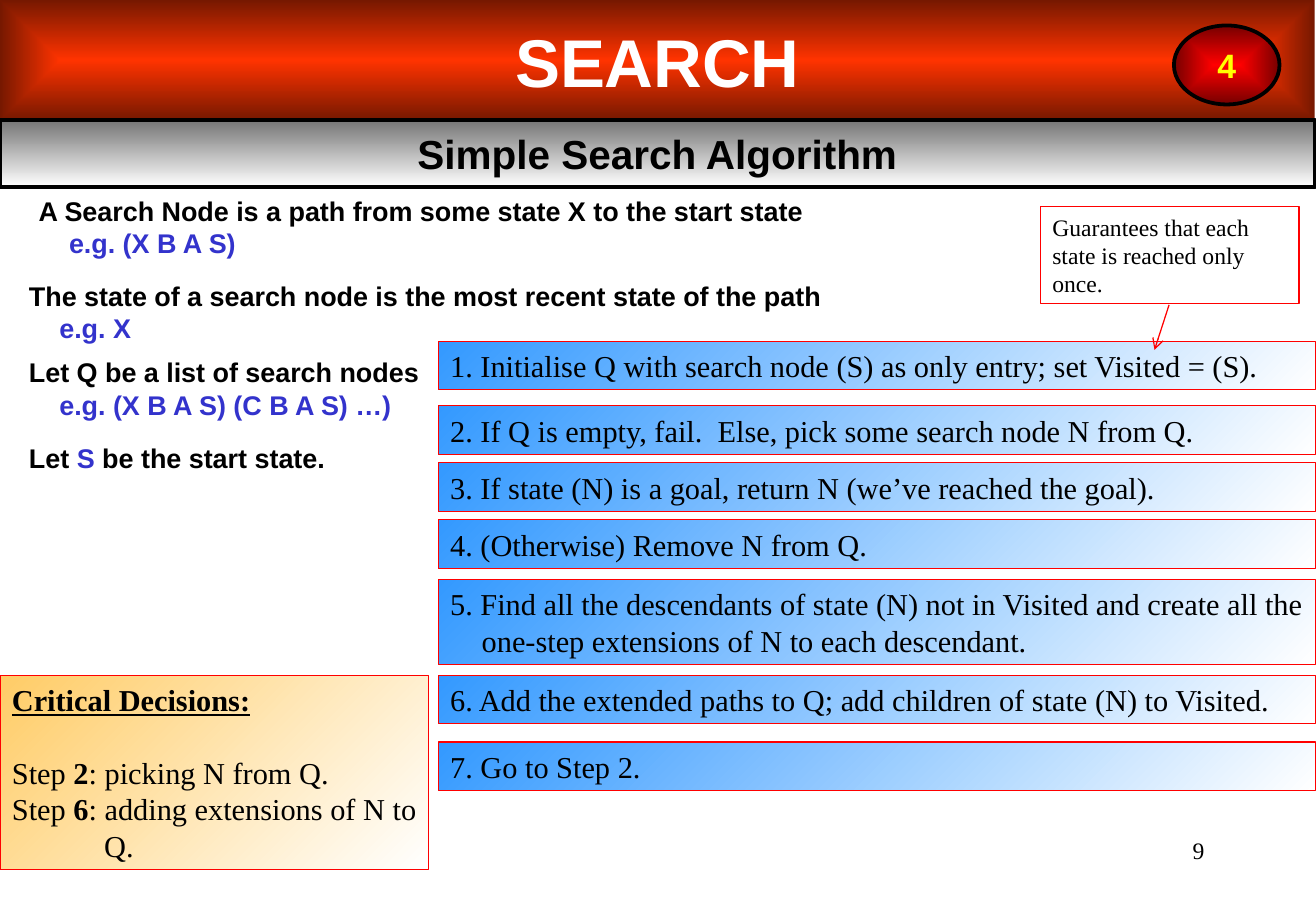
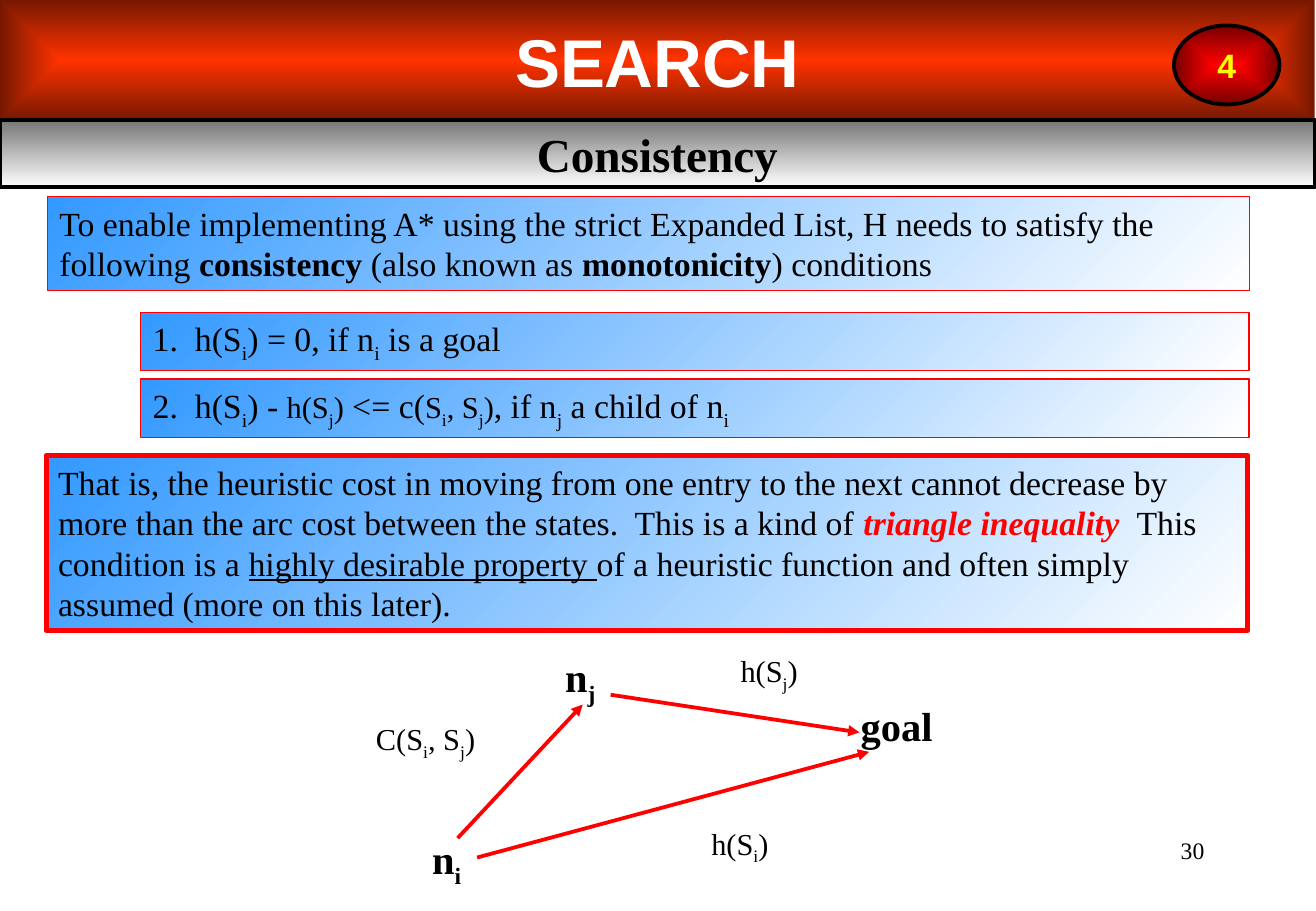
from dataclasses import dataclass
from typing import Any, NamedTuple, Optional

import lxml.etree
import pptx
import pptx.dml.color
import pptx.enum.shapes
import pptx.enum.text
import pptx.oxml.ns
import pptx.util

Inches = pptx.util.Inches
Pt = pptx.util.Pt
ALIGN = pptx.enum.text.PP_ALIGN
ANCHOR = pptx.enum.text.MSO_ANCHOR
AUTO_SIZE = pptx.enum.text.MSO_AUTO_SIZE
SHAPE = pptx.enum.shapes.MSO_SHAPE

SANS, SERIF = "Arial", "Times New Roman"
BLACK, WHITE, RED, YELLOW, BLUE = "000000", "FFFFFF", "FF0000", "FFFF00", "3333CC"


@dataclass(frozen=True)
class Run:
    text: str
    color: Optional[str] = None
    size: Optional[float] = None
    bold: Optional[bool] = None
    italic: Optional[bool] = None
    underline: Optional[bool] = None
    sub: bool = False


@dataclass(frozen=True)
class Para:
    runs: list[Run]
    size: float = 18
    font: str = SERIF
    color: str = BLACK
    bold: bool = False
    align: Any = ALIGN.LEFT
    left: float = 0
    hanging: float = 0
    before: float = 0


class Box(NamedTuple):
    left: float
    top: float
    width: float
    height: float


class Gradient(NamedTuple):
    start: str
    end: str
    angle: Optional[float] = None


class Line(NamedTuple):
    color: str
    width: float


class Arrow(NamedTuple):
    start: tuple[float, float]
    end: tuple[float, float]
    line: Line
    head: str


class Step(NamedTuple):
    top: float
    text: str
    height: float = 0.4


class Label(NamedTuple):
    text: str
    box: Box
    size: float = 18
    bold: bool = False


THIN, FRAME, THICK = Line(RED, 0.75), Line(BLACK, 2.25), Line(RED, 3)
SKY = Gradient("3399FF", WHITE, 45)
SAND = Gradient("FFCC66", WHITE, 45)
SILVER = Gradient("767676", WHITE, 90)
FLAME = Gradient("FF3300", "761800")
RUBY = Gradient(RED, "760000")


def rgb(color: str) -> pptx.dml.color.RGBColor:
    return pptx.dml.color.RGBColor.from_string(color)


def add_element(parent: Any, tag: str, **attributes: str) -> Any:
    return lxml.etree.SubElement(parent, pptx.oxml.ns.qn(tag), attributes)


def plain(text: str, **style: Any) -> list[Para]:
    return [Para([Run(text)], **style)]


def indexed(text: str, size: Optional[float] = None) -> list[Run]:
    first, *rest = text.split("_")
    runs = [Run(first, size=size)]
    for piece in rest:
        runs.append(Run(piece[0], size=size, sub=True))
        if piece[1:]:
            runs.append(Run(piece[1:], size=size))
    return runs


def write(sp: Any, paras: list[Para], anchor: Any = ANCHOR.TOP, wrap: bool = True, fit: bool = True) -> None:
    tf = sp.text_frame
    tf.word_wrap = wrap
    tf.vertical_anchor = anchor
    tf.auto_size = AUTO_SIZE.SHAPE_TO_FIT_TEXT if fit else AUTO_SIZE.NONE
    for index, para in enumerate(paras):
        p = tf.add_paragraph() if index else tf.paragraphs[0]
        p.alignment = para.align
        if para.left:
            pPr = p._p.get_or_add_pPr()
            pPr.set("marL", str(Inches(para.left)))
            pPr.set("indent", str(-Inches(para.hanging)))
        if para.before:
            p.space_before = Pt(para.before)
        p.font.name = para.font
        p.font.size = Pt(para.size)
        p.font.bold = para.bold
        p.font.color.rgb = rgb(para.color)
        for run in para.runs:
            r = p.add_run()
            r.text = run.text
            if run.color:
                r.font.color.rgb = rgb(run.color)
            if run.size:
                r.font.size = Pt(run.size)
            r.font.bold = run.bold
            r.font.italic = run.italic
            r.font.underline = run.underline
            if run.sub:
                r._r.get_or_add_rPr().set("baseline", "-25000")


def add_text(s: Any, box: Box, paras: list[Para], wrap: bool = True, fit: bool = True) -> None:
    write(s.shapes.add_textbox(*map(Inches, box)), paras, wrap=wrap, fit=fit)


def fill_gradient(sp: Any, gradient: Gradient) -> None:
    sp.fill.gradient()
    stops = sp.fill.gradient_stops
    for stop, color, position in zip(stops, (gradient.start, gradient.end), (0, 1)):
        stop.color.rgb = rgb(color)
        stop.position = position
    if gradient.angle is not None:
        sp.fill.gradient_angle = 360 - gradient.angle
        return
    grad = sp._element.spPr.find(pptx.oxml.ns.qn("a:gradFill"))
    grad.remove(grad.find(pptx.oxml.ns.qn("a:lin")))
    center = add_element(grad, "a:path", path="rect")
    add_element(center, "a:fillToRect", l="50000", t="50000", r="50000", b="50000")


def add_panel(
    s: Any,
    box: Box,
    paras: list[Para],
    gradient: Optional[Gradient] = SKY,
    line: Optional[Line] = THIN,
    kind: Any = SHAPE.RECTANGLE,
    anchor: Any = ANCHOR.TOP,
    wrap: bool = True,
) -> None:
    sp = s.shapes.add_shape(kind, *map(Inches, box))
    sp.shadow.inherit = False
    if gradient:
        fill_gradient(sp, gradient)
    else:
        sp.fill.background()
    if line:
        sp.line.color.rgb = rgb(line.color)
        sp.line.width = Pt(line.width)
    else:
        sp.line.fill.background()
    write(sp, paras, anchor, wrap, fit=anchor == ANCHOR.TOP)


def add_arrow(s: Any, arrow: Arrow) -> None:
    ends = map(Inches, (*arrow.start, *arrow.end))
    c = s.shapes.add_connector(pptx.enum.shapes.MSO_CONNECTOR.STRAIGHT, *ends)
    c.line.color.rgb = rgb(arrow.line.color)
    c.line.width = Pt(arrow.line.width)
    add_element(c.line._get_or_add_ln(), "a:tailEnd", type=arrow.head)
    add_element(c._element.spPr, "a:effectLst")


def add_slide(prs: Any, subtitle: str, number: str, font: str, size: float) -> Any:
    s = prs.slides.add_slide(prs.slide_layouts[6])
    add_text(s, Box(7.76, 6.83, 2.26, 0.5), plain(number, size=14, align=ALIGN.RIGHT), fit=False)
    heading = {"bold": True, "align": ALIGN.CENTER}
    add_panel(s, Box(0, 0, 10.83, 0.99), plain("SEARCH", size=40, font=SANS, color=WHITE, **heading),
              FLAME, None, anchor=ANCHOR.MIDDLE)
    add_panel(s, Box(0, 0.99, 10.83, 0.55), plain(subtitle, size=size, font=font, **heading),
              SILVER, FRAME, anchor=ANCHOR.MIDDLE)
    add_panel(s, Box(9.67, 0.21, 0.87, 0.65), plain("4", size=20, font=SANS, color=YELLOW, **heading),
              RUBY, FRAME, SHAPE.OVAL, ANCHOR.MIDDLE, wrap=False)
    return s


def build_algorithm(prs: Any) -> None:
    s = add_slide(prs, "Simple Search Algorithm", "9", SANS, 24)
    definition = {"size": 16, "font": SANS, "bold": True}
    for left, top, text, example in (
        (0.22, 1.55, "A Search Node is a path from some state X to the start state", "e.g. (X B A S)"),
        (0.14, 2.25, "The state of a search node is the most recent state of the path", "e.g. X"),
        (0.14, 2.88, "Let Q be a list of search nodes", "e.g. (X B A S) (C B A S) …)"),
    ):
        paras = plain(text, **definition) + plain(example, left=0.25, **{**definition, "color": BLUE})
        add_text(s, Box(left, top, 10.32, 0.64), paras)
    start = [Run("Let "), Run("S", BLUE), Run(" be the start state.")]
    add_text(s, Box(0.14, 3.59, 10.32, 0.37), [Para(start, **definition)])

    for step in (
        Step(2.81, "1. Initialise Q with search node (S) as only entry; set Visited = (S)."),
        Step(3.34, "2. If Q is empty, fail.  Else, pick some search node N from Q."),
        Step(3.81, "3. If state (N) is a goal, return N (we’ve reached the goal)."),
        Step(4.28, "4. (Otherwise) Remove N from Q."),
        Step(4.77, "5. Find all the descendants of state (N) not in Visited and create all the "
                   "one-step extensions of N to each descendant.", 0.7),
        Step(5.56, "6. Add the extended paths to Q; add children of state (N) to Visited."),
        Step(6.11, "7. Go to Step 2."),
    ):
        add_panel(s, Box(3.61, step.top, 7.23, step.height), plain(step.text, left=0.26, hanging=0.26))

    hang = {"left": 0.76, "hanging": 0.76}
    add_panel(s, Box(0, 5.56, 3.53, 1.6), [
        Para([Run("Critical Decisions:", underline=True)], bold=True, **hang),
        Para([Run("Step "), Run("2", bold=True), Run(": picking N from Q.")], before=21.5, **hang),
        Para([Run("Step "), Run("6", bold=True), Run(": adding extensions of N to Q.")], **hang),
    ], SAND)
    add_panel(s, Box(8.57, 1.7, 2.13, 0.8),
              plain("Guarantees that each state is reached only once.", size=14), None)
    add_arrow(s, Arrow((9.63, 2.51), (9.51, 2.88), THIN, "arrow"))


def build_consistency(prs: Any) -> None:
    s = add_slide(prs, "Consistency", "30", SERIF, 28)
    add_panel(s, Box(0.39, 1.62, 9.9, 0.77), [Para([
        Run("To enable implementing A* using the strict Expanded List, H needs to satisfy the following "),
        Run("consistency", bold=True),
        Run(" (also known as "),
        Run("monotonicity", bold=True),
        Run(") conditions"),
    ], size=20)])
    goal_rule = indexed("1.  h(S_i) = 0, if n_i is a goal")
    child_rule = (indexed("2.  h(S_i) - ") + indexed("h(S_j)", 18) + indexed(" <= c(")
                  + indexed("S_i, S_j)", 18) + indexed(", if n_j a child of n_i"))
    for top, rule in ((2.57, goal_rule), (3.12, child_rule)):
        add_panel(s, Box(1.16, top, 9.13, 0.48), [Para(rule, size=20)])
    add_panel(s, Box(0.38, 3.75, 9.9, 1.44), [Para([
        Run("That is, the heuristic cost in moving from one entry to the next cannot decrease by more "
            "than the arc cost between the states.  This is a kind of "),
        Run("triangle inequality  ", RED, bold=True, italic=True),
        Run("This condition is a "),
        Run("highly desirable property ", underline=True),
        Run("of a heuristic function and often simply assumed (more on this later)."),
    ], size=20)], line=THICK)

    for start, end in (((3.77, 6.9), (4.8, 5.8)), ((3.93, 7.06), (7.16, 6.19)), ((5.03, 5.72), (7.08, 6.03))):
        add_arrow(s, Arrow(start, end, Line(RED, 2.25), "triangle"))
    for label in (
        Label("n_i", Box(3.46, 6.82, 0.44, 0.56), 24, True),
        Label("n_j", Box(4.55, 5.32, 0.46, 0.56), 24, True),
        Label("goal", Box(6.99, 5.72, 0.79, 0.5), 24, True),
        Label("h(S_i)", Box(5.76, 6.74, 0.67, 0.44)),
        Label("h(S_j)", Box(5.74, 5.32, 1.19, 0.44)),
        Label("C(S_i, S_j)", Box(2.83, 5.88, 1.35, 0.44)),
    ):
        para = Para(indexed(label.text), size=label.size, bold=label.bold, align=ALIGN.CENTER)
        add_text(s, label.box, [para], wrap=False)


def main() -> None:
    prs = pptx.Presentation()
    prs.slide_width, prs.slide_height = Inches(10.84), Inches(7.5)
    build_algorithm(prs)
    build_consistency(prs)
    prs.save("out.pptx")


if __name__ == "__main__":
    main()
